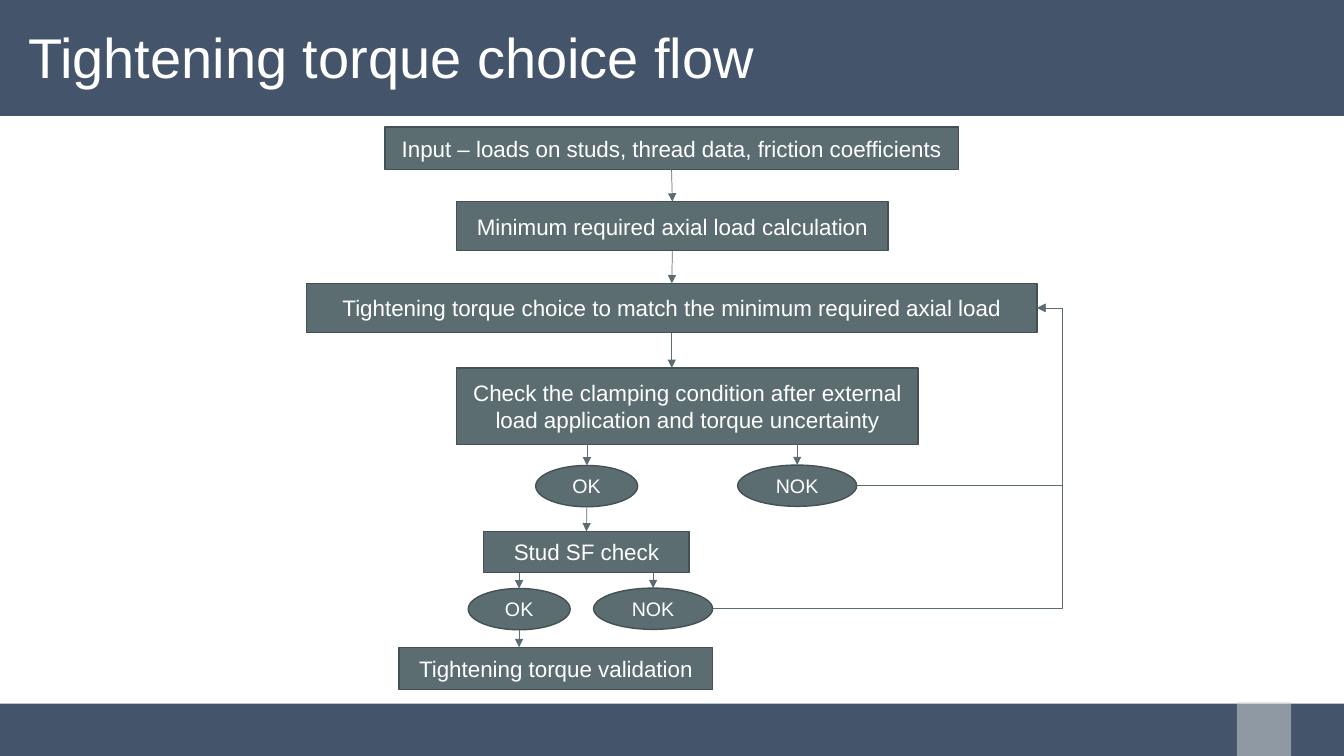
from lxml import etree
from pptx import Presentation
from pptx.dml.color import RGBColor
from pptx.enum.shapes import MSO_CONNECTOR, MSO_SHAPE
from pptx.enum.text import MSO_ANCHOR, PP_ALIGN
from pptx.oxml.ns import qn
from pptx.util import Cm, Pt

NAVY, SLATE, OUTLINE, WHITE = "44546A", "5C6D72", "445154", "FFFFFF"
BOTTOM, TOP = 2, 0

prs = Presentation()
prs.slide_width, prs.slide_height = Cm(33.87), Cm(19.05)
slide = prs.slides.add_slide(prs.slide_layouts[6])
shapes = slide.shapes


def rgb(color):
    return RGBColor.from_string(color)


def style_arrow(arrow):
    """Give a connector a thin slate line with a triangle at its end."""
    arrow.line.color.rgb = rgb(SLATE)
    arrow.line.width = Pt(0.5)
    properties = arrow._element.spPr
    etree.SubElement(properties.find(qn("a:ln")), qn("a:tailEnd"), type="triangle")
    etree.SubElement(properties, qn("a:effectLst"))


# Header band, footer band and page number block
for left, top, width, height, color in [
    (0, 0, 33.87, 2.92, NAVY),
    (0, 17.73, 33.87, 1.32, NAVY),
    (31.17, 17.68, 1.37, 1.37, "D9DCDC"),
]:
    band = shapes.add_shape(MSO_SHAPE.RECTANGLE, Cm(left), Cm(top), Cm(width), Cm(height))
    band.shadow.inherit = False
    band.fill.solid()
    band.fill.fore_color.rgb = rgb(color)
    band.line.fill.background()
page_block_color = band._element.spPr.find(qn("a:solidFill"))[0]
etree.SubElement(page_block_color, qn("a:alpha"), val="50000")

title = shapes.add_textbox(0, 0, Cm(33.87), Cm(2.92)).text_frame
title.word_wrap = True
title.vertical_anchor = MSO_ANCHOR.MIDDLE
title.margin_left, title.margin_top = Cm(0.71), Cm(0.2)
title.margin_right, title.margin_bottom = Cm(0.25), Cm(0.1)
heading = title.paragraphs[0]
heading.text = "Tightening torque choice flow"
heading.line_spacing = 0.9
heading.font.size = Pt(40)
heading.font.name = "Arial"
heading.font.color.rgb = rgb(WHITE)

# Steps are rectangles, outcomes are ellipses
STEP, OUTCOME = MSO_SHAPE.RECTANGLE, MSO_SHAPE.OVAL
text_size = {STEP: 16, OUTCOME: 14}
nodes = {}
for key, kind, left, top, width, height, text in [
    ("input", STEP, 9.7, 3.2, 14.45, 1.07,
     "Input – loads on studs, thread data, friction coefficients"),
    ("minimum", STEP, 11.51, 5.08, 10.87, 1.24, "Minimum required axial load calculation"),
    ("choice", STEP, 7.72, 7.14, 18.42, 1.24,
     "Tightening torque choice to match the minimum required axial load"),
    ("clamping", STEP, 11.51, 9.27, 11.63, 1.93,
     "Check the clamping condition after external load application and torque uncertainty"),
    ("clamping ok", OUTCOME, 13.5, 11.73, 2.57, 1.04, "OK"),
    ("clamping nok", OUTCOME, 18.59, 11.72, 3, 1.04, "NOK"),
    ("stud", STEP, 12.19, 13.39, 5.18, 1.04, "Stud SF check"),
    ("stud ok", OUTCOME, 11.8, 14.83, 2.57, 1.04, "OK"),
    ("stud nok", OUTCOME, 14.96, 14.82, 3, 1.04, "NOK"),
    ("validation", STEP, 10.06, 16.31, 7.9, 1.07, "Tightening torque validation"),
]:
    node = shapes.add_shape(kind, Cm(left), Cm(top), Cm(width), Cm(height))
    node.shadow.inherit = False
    node.fill.solid()
    node.fill.fore_color.rgb = rgb(SLATE)
    node.line.color.rgb = rgb(OUTLINE)
    node.line.width = Pt(1)
    node.text_frame.word_wrap = True
    node.text_frame.vertical_anchor = MSO_ANCHOR.MIDDLE
    label = node.text_frame.paragraphs[0]
    label.text = text
    label.alignment = PP_ALIGN.CENTER
    label.font.size = Pt(text_size[kind])
    label.font.name = "Arial"
    label.font.color.rgb = rgb(WHITE)
    nodes[key] = node

# Downward arrows, joined wherever they meet the middle of a step's side
for start, end, x, join_start, join_end in [
    ("input", "minimum", 16.93, True, True),
    ("minimum", "choice", 16.93, True, True),
    ("choice", "clamping", 16.93, True, False),
    ("clamping", "clamping ok", 14.79, False, False),
    ("clamping", "clamping nok", 20.09, False, False),
    ("clamping ok", "stud", 14.79, False, True),
    ("stud", "stud ok", 13.08, False, False),
    ("stud", "stud nok", 16.46, False, False),
    ("stud ok", "validation", 13.08, False, False),
]:
    source, target = nodes[start], nodes[end]
    arrow = shapes.add_connector(
        MSO_CONNECTOR.STRAIGHT, Cm(x), source.top + source.height, Cm(x), target.top)
    if join_start:
        arrow.begin_connect(source, BOTTOM)
    if join_end:
        arrow.end_connect(target, TOP)
    style_arrow(arrow)

# Both NOK outcomes return to the torque choice along one vertical line
choice = nodes["choice"]
return_x = Cm(26.77)
end_x, end_y = choice.left + choice.width, choice.top + choice.height // 2
for key in ("clamping nok", "stud nok"):
    nok = nodes[key]
    start_x, start_y = nok.left + nok.width, nok.top + nok.height // 2
    loop = shapes.add_connector(MSO_CONNECTOR.ELBOW, start_x, start_y, end_x, end_y)
    bend = round(100000 * (return_x - start_x) / (end_x - start_x))
    adjustments = loop._element.spPr.find(qn("a:prstGeom")).get_or_add_avLst()
    etree.SubElement(adjustments, qn("a:gd"), name="adj1", fmla=f"val {bend}")
    style_arrow(loop)

prs.save("out.pptx")
